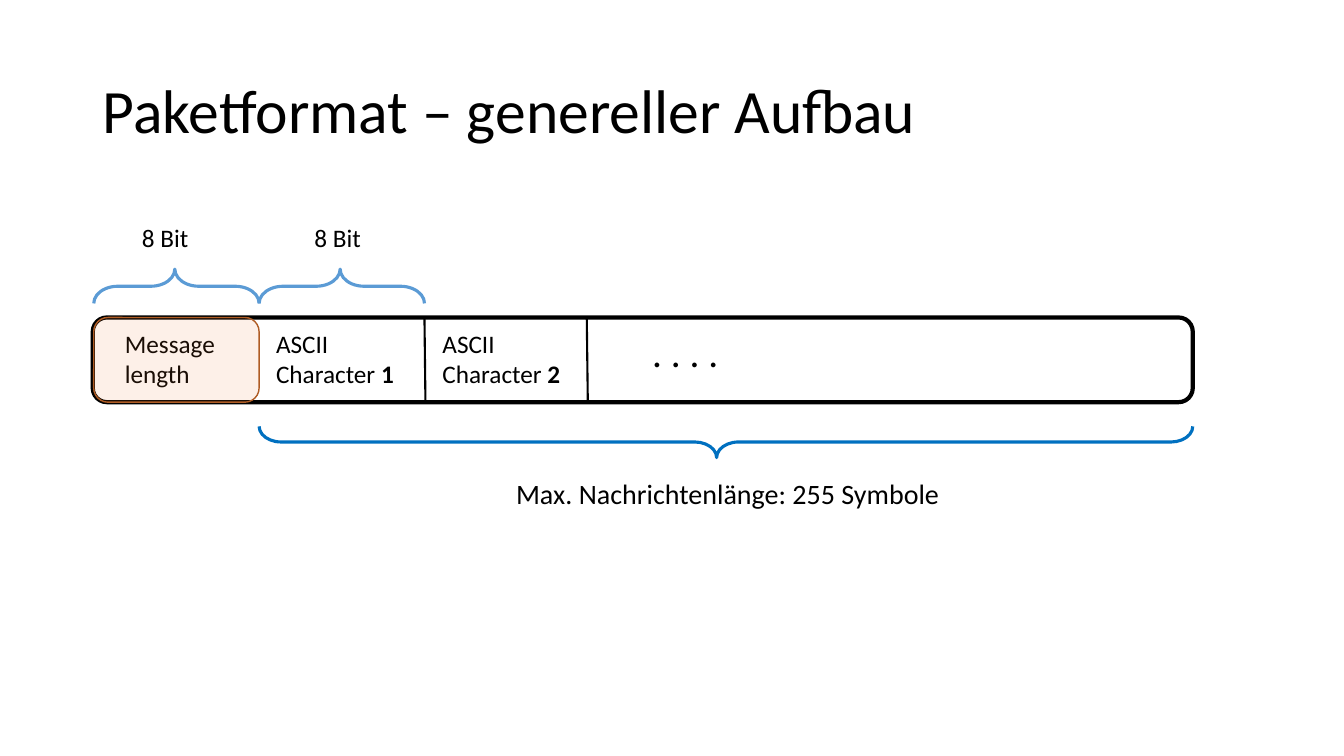
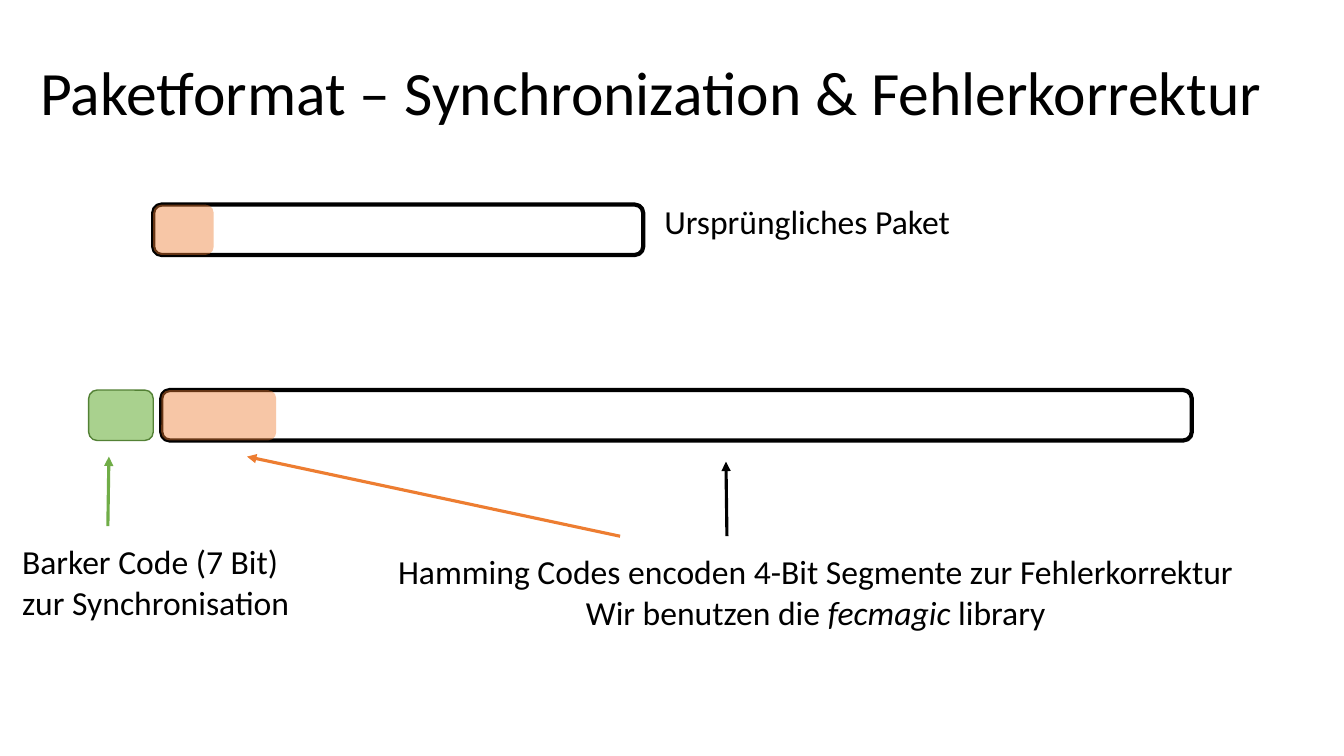
from dataclasses import dataclass

from lxml import etree
from pptx import Presentation
from pptx.dml.color import RGBColor
from pptx.enum.shapes import MSO_CONNECTOR, MSO_SHAPE
from pptx.enum.text import MSO_ANCHOR, MSO_AUTO_SIZE, PP_ALIGN
from pptx.oxml.ns import qn
from pptx.util import Inches, Pt

ROUNDED = MSO_SHAPE.ROUNDED_RECTANGLE
BRACE_UP, BRACE_DOWN = MSO_SHAPE.LEFT_BRACE, MSO_SHAPE.RIGHT_BRACE
STRAIGHT = MSO_CONNECTOR.STRAIGHT
LEFT, CENTER = PP_ALIGN.LEFT, PP_ALIGN.CENTER
MIDDLE = MSO_ANCHOR.MIDDLE
NO_AUTOFIT = MSO_AUTO_SIZE.NONE

FONT = "Calibri"
BLACK = RGBColor(0x00, 0x00, 0x00)
ORANGE = RGBColor(0xED, 0x7D, 0x31)
DARK_ORANGE = RGBColor(0xAF, 0x5C, 0x24)
GREEN = RGBColor(0x70, 0xAD, 0x47)
LIGHT_GREEN = RGBColor(0xA9, 0xD1, 0x8E)
DARK_GREEN = RGBColor(0x53, 0x81, 0x35)
LIGHT_BLUE = RGBColor(0x5B, 0x9B, 0xD5)
BLUE = RGBColor(0x00, 0x70, 0xC0)


@dataclass(frozen=True)
class Box:
    left: float
    top: float
    width: float
    height: float

    def lengths(self) -> tuple:
        return tuple(Inches(v) for v in (self.left, self.top, self.width, self.height))


@dataclass(frozen=True)
class Run:
    text: str
    bold: bool = False
    italic: bool = False


@dataclass(frozen=True)
class Line:
    runs: tuple
    align: PP_ALIGN = LEFT


@dataclass(frozen=True)
class Label:
    box: Box
    lines: tuple
    size: int = 18
    wrap: bool = False


@dataclass(frozen=True)
class Packet:
    frame: Box
    header_width: float


@dataclass(frozen=True)
class Arrow:
    start: tuple
    end: tuple
    color: RGBColor


def plain(text: str) -> tuple:
    return (Line((Run(text),)),)


def write_text(frame, lines: tuple, *, size: int, wrap: bool = True,
               spacing: float = 1.0) -> None:
    frame.word_wrap = wrap
    for index, line in enumerate(lines):
        paragraph = frame.add_paragraph() if index else frame.paragraphs[0]
        paragraph.alignment = line.align
        paragraph.line_spacing = spacing
        for part in line.runs:
            run = paragraph.add_run()
            run.text = part.text
            font = run.font
            font.name, font.size = FONT, Pt(size)
            font.bold, font.italic = part.bold, part.italic
            font.color.rgb = BLACK


def add_titled_slide(deck, title_text: str, box: Box):
    slide = deck.slides.add_slide(deck.slide_layouts.get_by_name("Title Only"))
    title = slide.shapes.title
    title.left, title.top, title.width, title.height = box.lengths()
    title.text_frame.vertical_anchor = MIDDLE
    title.text_frame.auto_size = NO_AUTOFIT
    write_text(title.text_frame, plain(title_text), size=44, spacing=0.9)
    return slide


def add_label(slide, label: Label) -> None:
    box = slide.shapes.add_textbox(*label.box.lengths())
    write_text(box.text_frame, label.lines, size=label.size, wrap=label.wrap)


def add_outline(slide, kind: MSO_SHAPE, box: Box, *, fill: RGBColor | None = None,
                opacity: int = 100, line: RGBColor | None = None, weight: float = 1):
    shape = slide.shapes.add_shape(kind, *box.lengths())
    shape.shadow.inherit = False
    if fill is None:
        shape.fill.background()
    else:
        shape.fill.solid()
        shape.fill.fore_color.rgb = fill
        if opacity < 100:
            color = shape.fill._xPr.find(qn("a:solidFill"))[0]
            etree.SubElement(color, qn("a:alpha"), val=str(opacity * 1000))
    if line is None:
        shape.line.fill.background()
    else:
        shape.line.color.rgb = line
        shape.line.width = Pt(weight)
    return shape


def add_brace(slide, kind: MSO_SHAPE, box: Box, color: RGBColor) -> None:
    """Draw a horizontal brace; box is the area it covers after its quarter turn."""
    upright = Box(box.left + (box.width - box.height) / 2,
                  box.top + (box.height - box.width) / 2, box.height, box.width)
    brace = add_outline(slide, kind, upright, line=color, weight=2.25)
    brace.rotation = 90
    brace.adjustments[0], brace.adjustments[1] = 0.7, 0.51


def add_line(slide, start: tuple, end: tuple, color: RGBColor, weight: float,
             arrow: bool = False) -> None:
    line = slide.shapes.add_connector(STRAIGHT, *(Inches(v) for v in start + end))
    line.line.color.rgb = color
    line.line.width = Pt(weight)
    if arrow:
        etree.SubElement(line.line._get_or_add_ln(), qn("a:tailEnd"), type="triangle")
    etree.SubElement(line._element.spPr, qn("a:effectLst"))


def add_packet(slide, packet: Packet) -> None:
    frame = packet.frame
    add_outline(slide, ROUNDED, frame, line=BLACK, weight=3)
    header = Box(frame.left, frame.top, packet.header_width, frame.height)
    add_outline(slide, ROUNDED, header, fill=ORANGE, opacity=43)


def build_structure(deck) -> None:
    slide = add_titled_slide(deck, "Paketformat – genereller Aufbau",
                             Box(0.92, 0.4, 11.5, 1.45))
    packet = Box(0.92, 3.15, 10.91, 0.84)
    field_left, field_width = 0.93, 1.64
    payload_left = field_left + field_width

    # Packet with dividers between the characters
    add_outline(slide, ROUNDED, packet, line=BLACK, weight=3)
    for x in (4.21, 5.82):
        add_line(slide, (x, packet.top), (x + 0.01, packet.top + packet.height), BLACK, 1.5)

    # Field and message lengths
    for left in (field_left, payload_left):
        add_brace(slide, BRACE_UP, Box(left, 2.67, field_width, 0.34), LIGHT_BLUE)
    add_brace(slide, BRACE_DOWN, Box(payload_left, 4.23, 9.26, 0.31), BLUE)
    for left in (1.31, 3.02):
        add_label(slide, Label(Box(left, 2.16, 0.66, 0.4), plain("8 Bit")))
    add_label(slide, Label(Box(5.02, 4.68, 4.44, 0.44),
                           plain("Max. Nachrichtenlänge: 255 Symbole"), size=20))

    # Field contents
    for number, left in enumerate((2.64, 4.29), start=1):
        character = (Line((Run("ASCII Character "), Run(str(number), bold=True))),)
        add_label(slide, Label(Box(left, 3.21, 1.54, 0.71), character, wrap=True))
    add_label(slide, Label(Box(6.37, 3.21, 0.87, 0.57), plain(". . . ."), size=28))
    add_label(slide, Label(Box(1.14, 3.21, 1.21, 0.71), plain("Message length"), wrap=True))
    add_outline(slide, ROUNDED, Box(field_left, packet.top, field_width, packet.height),
                fill=ORANGE, opacity=11, line=DARK_ORANGE)


def build_error_correction(deck) -> None:
    slide = add_titled_slide(deck, "Paketformat – Synchronization & Fehlerkorrektur",
                             Box(0.3, 0.22, 12.51, 1.45))

    # Packet before and after encoding, with its Barker code
    for packet in (Packet(Box(1.52, 2.03, 4.86, 0.5), 0.6),
                   Packet(Box(1.6, 3.87, 10.22, 0.5), 1.14)):
        add_packet(slide, packet)
    add_outline(slide, ROUNDED, Box(0.88, 3.87, 0.64, 0.5),
                fill=LIGHT_GREEN, line=DARK_GREEN)

    # Explanations
    hamming = plain("Hamming Codes encoden 4-Bit Segmente zur Fehlerkorrektur") + (
        Line((Run("Wir benutzen die "), Run("fecmagic", italic=True), Run(" library")),
             CENTER),)
    for label in (
        Label(Box(6.49, 1.94, 3.06, 0.5), plain("Ursprüngliches Paket"), 24),
        Label(Box(0.12, 5.32, 2.99, 0.91),
              plain("Barker Code (7 Bit) zur Synchronisation"), 24, wrap=True),
        Label(Box(3.85, 5.42, 8.56, 0.91), hamming, 24),
    ):
        add_label(slide, label)

    # Arrows from the explanations to the packet parts
    for arrow in (Arrow((1.07, 5.22), (1.08, 4.53), GREEN),
                  Arrow((6.15, 5.32), (2.45, 4.53), ORANGE),
                  Arrow((7.21, 5.32), (7.2, 4.58), BLACK)):
        add_line(slide, arrow.start, arrow.end, arrow.color, 2.25, arrow=True)


def main() -> None:
    deck = Presentation()
    deck.slide_width, deck.slide_height = Inches(13.33), Inches(7.5)
    build_structure(deck)
    build_error_correction(deck)
    deck.save("out.pptx")


if __name__ == "__main__":
    main()
